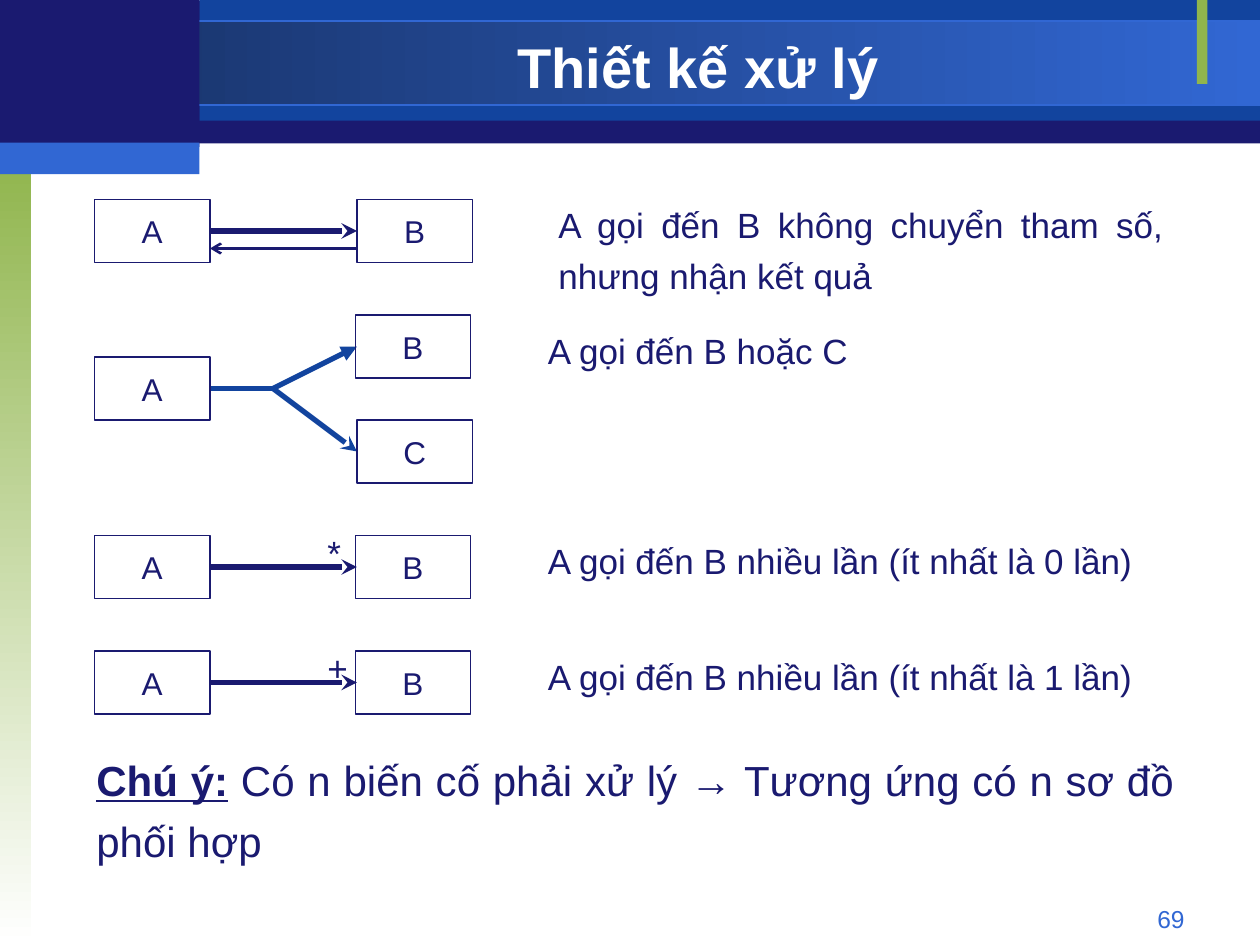
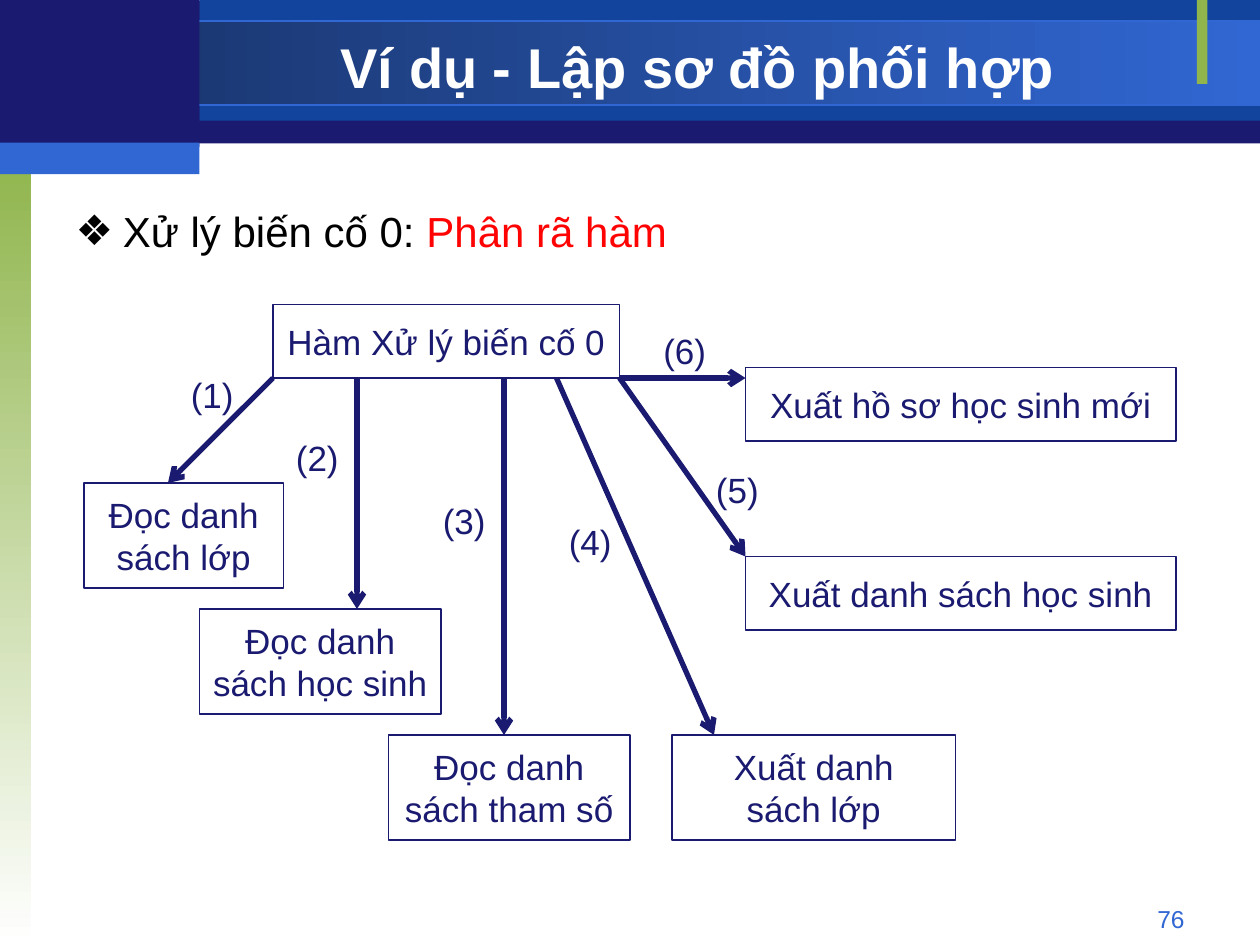
from dataclasses import dataclass

from lxml import etree
from pptx import Presentation
from pptx.dml.color import RGBColor
from pptx.enum.shapes import MSO_CONNECTOR, MSO_SHAPE
from pptx.enum.text import MSO_ANCHOR, MSO_AUTO_SIZE, PP_ALIGN
from pptx.oxml.ns import qn
from pptx.util import Pt

RECT, LINE = MSO_SHAPE.RECTANGLE, MSO_CONNECTOR.STRAIGHT
LEFT, MID, RIGHT, JUST = PP_ALIGN.LEFT, PP_ALIGN.CENTER, PP_ALIGN.RIGHT, PP_ALIGN.JUSTIFY
TOP, CENTER = MSO_ANCHOR.TOP, MSO_ANCHOR.MIDDLE


@dataclass(frozen=True)
class Theme:
    font: str = "Arial"
    navy: str = "1A1A70"
    blue: str = "12449E"
    sky: str = "3167D3"
    deep: str = "173062"
    green: str = "90B54D"
    white: str = "FFFFFF"
    black: str = "000000"
    red: str = "FF0303"
    title: int = 32
    lead: int = 24
    text: int = 20
    node: int = 18
    foot: int = 14
    thin: float = 0.75
    mid: float = 1.5
    thick: float = 3


T = Theme()

# Shared bands: place, fill colour or (from, to, angle), line colour
BANDS = [
    ((0, 0.5, 720, 81.5), T.navy, None),
    ((114, 0, 606, 69), T.blue, None),
    ((0, 12, 720, 48), (T.deep, T.sky, 0), T.sky),
    ((0, 90, 18, 450), (T.green, T.white, 270), None),
    ((684, 0, 6, 48), T.green, None),
    ((0, 0, 114, 84), T.navy, None),
    ((0, 81.5, 114, 18), T.sky, None),
]
TITLE_AT = (114, 16.5, 570, 42)
FOOT_AT = (516, 513, 168, 19.5)

# Calls between modules
CALL_TITLE, CALL_PAGE = "Thiết kế xử lý", "69"
NODE_W, NODE_H = 66, 36
NODES = [
    ("A", 54, 114), ("B", 204, 114),
    ("A", 54, 204), ("B", 203, 180), ("C", 204, 240),
    ("A", 54, 306), ("B", 203, 306),
    ("A", 54, 372), ("B", 203, 372),
]
CALLS = [
    ((120, 132, 204, 132), T.navy, T.thick, "stealth"),
    ((204, 142, 120, 142), T.navy, T.mid, "arrow"),
    ((120, 222, 156, 222), T.blue, T.thick, None),
    ((156, 222, 204, 198), T.blue, T.thick, "triangle"),
    ((156, 222, 204, 258), T.blue, T.thick, "stealth"),
    ((120, 324, 204, 324), T.navy, T.thick, "stealth"),
    ((120, 390, 204, 390), T.navy, T.thick, "stealth"),
]
MEANINGS = [
    ("A gọi đến B không chuyển tham số, nhưng nhận kết quả", (312, 108, 360, 65)),
    ("A gọi đến B hoặc C", (306, 180, 306, 36)),
    ("A gọi đến B nhiều lần (ít nhất là 0 lần)", (306, 300, 372, 36)),
    ("A gọi đến B nhiều lần (ít nhất là 1 lần)", (306, 366, 372, 36)),
]
MARKS = [("*", 180, 300), ("+", 180, 366)]
NOTE = [("Chú ý:", {"bold": True, "under": True}),
        (" Có n biến cố phải xử lý → Tương ứng có n sơ đồ phối hợp", {})]
NOTE_AT = (48, 422, 630, 76)

# Function breakdown
TREE_TITLE, TREE_PAGE = "Ví dụ - Lập sơ đồ phối hợp", "76"
LEAD = [("Xử lý biến cố 0: ", {}), ("Phân rã hàm", {"color": T.red})]
LEAD_AT = (36, 108, 648, 396)
ROOT, ROOT_AT = "Hàm Xử lý biến cố 0", (156, 174, 198, 42)
# Text lines, box, arrow start x, arrow end, number place
STEPS = [
    (["Đọc danh", "sách lớp"], (48, 276, 114, 60), 156, (96, 276), (102, 210)),
    (["Đọc danh", "sách học sinh"], (114, 348, 138, 60), 204, (204, 348), (162, 246)),
    (["Đọc danh", "sách tham số"], (222, 420, 138, 60), 288, (288, 420), (246, 282)),
    (["Xuất danh", "sách lớp"], (384, 420, 162, 60), 318, (408, 420), (318, 294)),
    (["Xuất danh sách học sinh"], (426, 318, 246, 42), 354, (426, 318), (402, 264)),
    (["Xuất hồ sơ học sinh mới"], (426, 210, 246, 42), 354, (426, 216), (372, 185)),
]


def pts(nums):
    return [Pt(n) for n in nums]


def rgb(code):
    return RGBColor.from_string(code)


def write(shape, paras, size=T.text, color=T.navy, bold=False, align=LEFT,
          anchor=TOP, wrap=True, space=1.0, bullet=None):
    """Fill a shape with paragraphs; each is a string or a list of (text, format)."""
    frame = shape.text_frame
    frame.word_wrap = wrap
    frame.auto_size = MSO_AUTO_SIZE.NONE
    frame.vertical_anchor = anchor
    for i, para in enumerate(paras):
        p = frame.add_paragraph() if i else frame.paragraphs[0]
        if bullet:
            props = p._p.get_or_add_pPr()
            props.set("marL", str(Pt(27)))
            props.set("indent", str(-Pt(27)))
            etree.SubElement(props, qn("a:buChar"), char=bullet)
        p.alignment, p.line_spacing, p.space_before = align, space, Pt(0)
        for text, own in [(para, {})] if isinstance(para, str) else para:
            run = p.add_run()
            run.text = text
            font = run.font
            font.name, font.size = T.font, Pt(size)
            font.bold = own.get("bold", bold)
            font.underline = own.get("under", False)
            font.color.rgb = rgb(own.get("color", color))


def add_text(slide, at, paras, **fmt):
    write(slide.shapes.add_textbox(*pts(at)), paras, **fmt)


def add_rect(slide, at, fill=None, edge=None):
    rect = slide.shapes.add_shape(RECT, *pts(at))
    rect.shadow.inherit = False
    if fill is None:
        rect.fill.background()
    elif isinstance(fill, str):
        rect.fill.solid()
        rect.fill.fore_color.rgb = rgb(fill)
    else:
        *ends, angle = fill
        rect.fill.gradient()
        rect.fill.gradient_angle = angle
        for stop, code in zip(rect.fill.gradient_stops, ends):
            stop.color.rgb = rgb(code)
    if edge:
        rect.line.color.rgb = rgb(edge)
        rect.line.width = Pt(T.thin)
    else:
        rect.line.fill.background()
    return rect


def add_node(slide, at, paras, size=T.text):
    write(add_rect(slide, at, edge=T.navy), paras, size=size,
          align=MID, anchor=CENTER, wrap=False)


def add_line(slide, ends, color=T.navy, width=T.thick, head="arrow"):
    link = slide.shapes.add_connector(LINE, *pts(ends))
    link.line.color.rgb = rgb(color)
    link.line.width = Pt(width)
    props = link.element.spPr
    if head:
        etree.SubElement(props.find(qn("a:ln")), qn("a:tailEnd"), type=head)
    etree.SubElement(props, qn("a:effectLst"))


def place(holder, at):
    holder.left, holder.top, holder.width, holder.height = pts(at)
    return holder


def add_slide(deck, layout, title, page):
    slide = deck.slides.add_slide(deck.slide_layouts[layout])
    write(place(slide.shapes.title, TITLE_AT), [title], size=T.title,
          color=T.white, bold=True, align=MID, anchor=CENTER)
    add_text(slide, FOOT_AT, [page], size=T.foot, color=T.sky, align=RIGHT)
    return slide


def set_bands(deck, slide):
    """Draw the bands once and hand them to the master."""
    for at, fill, edge in BANDS:
        deck.slide_master.shapes.element.append(add_rect(slide, at, fill, edge).element)


def fill_calls(slide):
    for ends, *style in CALLS:
        add_line(slide, ends, *style)
    for name, x, y in NODES:
        add_node(slide, (x, y, NODE_W, NODE_H), [name], size=T.node)
    for text, at in MEANINGS:
        add_text(slide, at, [text], align=JUST, space=1.2)
    for mark, x, y in MARKS:
        add_text(slide, (x, y, 24, 31.5), [mark])
    add_text(slide, NOTE_AT, [NOTE], size=T.lead, align=JUST, space=1.2)


def fill_tree(slide):
    write(place(slide.placeholders[1], LEAD_AT), [LEAD], size=T.lead,
          color=T.black, align=JUST, space=1.2, bullet="❖")
    add_node(slide, ROOT_AT, [ROOT])
    base = ROOT_AT[1] + ROOT_AT[3]
    for i, (lines, at, x, end, spot) in enumerate(STEPS, 1):
        add_node(slide, at, lines)
        add_line(slide, (x, base, *end))
        add_text(slide, (*spot, 42, 31.5), [f"({i})"])


def main():
    deck = Presentation()
    deck.slide_width, deck.slide_height = Pt(720), Pt(540)
    calls = add_slide(deck, 5, CALL_TITLE, CALL_PAGE)
    set_bands(deck, calls)
    fill_calls(calls)
    fill_tree(add_slide(deck, 1, TREE_TITLE, TREE_PAGE))
    deck.save("out.pptx")


if __name__ == "__main__":
    main()
